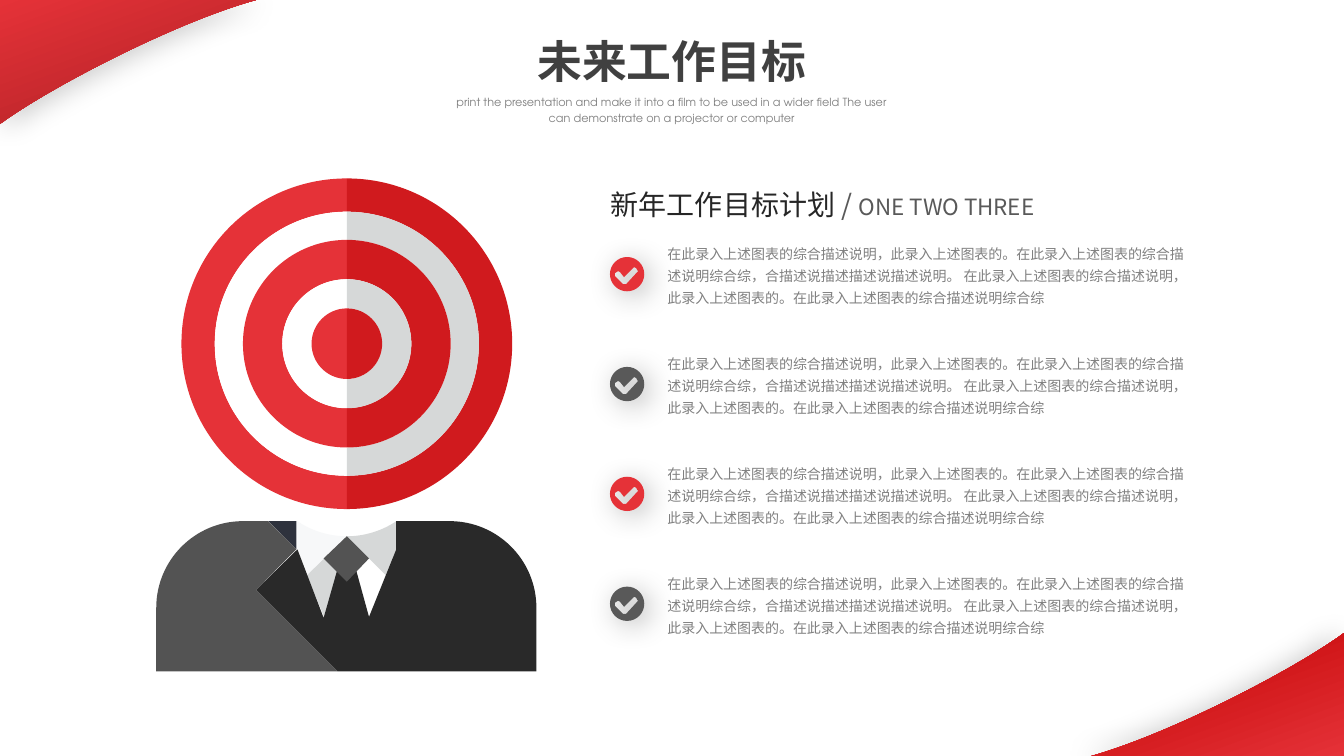
from dataclasses import dataclass
from math import ceil, cos, radians, sin, tan

from lxml.etree import SubElement
from pptx import Presentation
from pptx.dml.color import RGBColor
from pptx.enum.text import MSO_AUTO_SIZE as AutoSize, PP_ALIGN as Align
from pptx.oxml.ns import qn
from pptx.util import Inches, Pt

CJK, LATIN = "Noto Sans CJK SC", "TeX Gyre Adventor"
RED, DEEP_RED, WHITE, SILVER = "E53238", "D01A1E", "FFFFFF", "D6D8D8"
GREY, CHARCOAL, BLACK, TEXT_GREY = "535353", "595959", "292929", "808080"


@dataclass
class Point:
    x: float
    y: float
    control: bool = False


@dataclass
class Piece:
    points: list[Point]
    color: str


@dataclass
class Ring:
    outer: float
    inner: float
    left_color: str
    right_color: str


@dataclass
class Words:
    text: str
    size: float
    color: str
    font: str = CJK
    bold: bool = False


def rgb(color: str) -> RGBColor:
    return RGBColor.from_string(color)


def corners(*pairs: tuple[float, float]) -> list[Point]:
    return [Point(x, y) for x, y in pairs]


def arc(center: Point, radius: float, start: float, end: float) -> list[Point]:
    """Cubic curves along an arc; degrees run clockwise from the right."""
    count = ceil(abs(end - start) / 90)
    sweep = radians(end - start) / count
    pull = 4 / 3 * tan(sweep / 4)

    def spot(a: float, reach: float = 0) -> Point:
        return Point(center.x + radius * (cos(a) - reach * sin(a)),
                     center.y + radius * (sin(a) + reach * cos(a)), reach != 0)

    points = [spot(radians(start))]
    for i in range(count):
        a, b = radians(start) + i * sweep, radians(start) + (i + 1) * sweep
        points += [spot(a, pull), spot(b, -pull), spot(b)]
    return points


def add_outline(shapes, contours: list[list[Point]], color: str):
    builder = None
    for contour in contours:
        scaled = [(Inches(p.x), Inches(p.y)) for p in contour]
        if builder is None:
            builder = shapes.build_freeform(*scaled[0])
        else:
            builder.move_to(*scaled[0])
        builder.add_line_segments(scaled[1:], close=True)
    outline = builder.convert_to_shape()
    bend_lines(outline, [p.control for contour in contours for p in contour[1:]])
    outline.fill.solid()
    outline.fill.fore_color.rgb = rgb(color)
    outline.line.fill.background()
    outline.shadow.inherit = False
    return outline


def bend_lines(outline, controls: list[bool]) -> None:
    """Turn two control points and the end point after them into one curve."""
    lines = list(outline._element.iter(qn("a:lnTo")))
    index = 0
    while index < len(controls):
        if not controls[index]:
            index += 1
            continue
        curve = lines[index].makeelement(qn("a:cubicBezTo"))
        lines[index].addprevious(curve)
        for line in lines[index:index + 3]:
            curve.append(line[0])
            line.getparent().remove(line)
        index += 3


def add_shadow(shape, opacity: int, direction: int) -> None:
    effects = shape._element.spPr.find(qn("a:effectLst"))
    shadow = SubElement(effects, qn("a:outerShdw"), blurRad=str(Pt(20)), dist=str(Pt(5)),
                        dir=str(direction * 60000), algn="ctr", rotWithShape="0")
    black = SubElement(shadow, qn("a:srgbClr"), val="000000")
    SubElement(black, qn("a:alpha"), val=str(opacity * 1000))


def add_words(shapes, box: tuple[float, float, float, float], parts: list[Words],
              spacing: float = 1.0, align: Align = Align.LEFT,
              inset: bool = True, wrap: bool = True) -> None:
    frame = shapes.add_textbox(*map(Inches, box)).text_frame
    frame.word_wrap = wrap
    frame.auto_size = AutoSize.SHAPE_TO_FIT_TEXT
    if not inset:
        frame.margin_left = frame.margin_right = frame.margin_top = frame.margin_bottom = 0
    paragraph = frame.paragraphs[0]
    paragraph.alignment = align
    paragraph.line_spacing = spacing
    for part in parts:
        run = paragraph.add_run()
        run.text = part.text
        run.font.size = Pt(part.size)
        run.font.bold = part.bold
        run.font.color.rgb = rgb(part.color)
        run.font.name = part.font
        SubElement(run._r.get_or_add_rPr(), qn("a:ea"), typeface=CJK)


def add_corner(shapes, left: float, top: float, dark: str, turn: int, direction: int) -> None:
    edge = [Point(2.54, 0), Point(1.74, 0.22, True), Point(0.49, 0.87, True), Point(0, 1.23)]
    corner = add_outline(shapes, [[Point(0, 0), *edge]], RED)
    corner.left, corner.top, corner.rotation = Inches(left), Inches(top), turn
    corner.fill.gradient()
    corner.fill.gradient_angle = 290
    for stop, color, position in zip(corner.fill.gradient_stops, (RED, dark), (0, 1)):
        stop.color.rgb = rgb(color)
        stop.position = position
    add_shadow(corner, 20, direction)


def add_ring(shapes, center: Point, ring: Ring) -> None:
    for start, end, color in ((90, 270, ring.left_color), (-90, 90, ring.right_color)):
        half = arc(center, ring.outer, start, end)
        half += arc(center, ring.inner, end, start) if ring.inner else []
        add_outline(shapes, [half], color)


def add_check(shapes, left: float, top: float, color: str) -> None:
    disc = arc(Point(left + 0.17, top + 0.17), 0.17, 0, 360)
    tick = [Point(left + x, top + y) for x, y in TICK]
    add_shadow(add_outline(shapes, [disc, tick], color), 30, 45)


TICK = [(0.27, 0.13), (0.26, 0.11), (0.24, 0.1), (0.23, 0.11), (0.14, 0.2), (0.1, 0.15),
        (0.08, 0.14), (0.05, 0.16), (0.05, 0.19), (0.13, 0.27), (0.16, 0.27), (0.27, 0.15),
        (0.28, 0.14)]

# Businessman: everything meets at the knot of the tie
KNOT, NECK = (3.44, 5.32), Point(3.44, 4.44)
SUIT = [
    Piece(corners((3.83, 5.7), KNOT, (3.66, 6.12)), WHITE),
    Piece(corners((3.04, 5.7), (3.22, 6.13), KNOT), SILVER),
    Piece(corners((2.95, 5.45), (3.04, 5.71)) + arc(NECK, 0.88, 90, 124), "F7F8F9"),
    Piece(corners((3.93, 5.45), (3.83, 5.71)) + arc(NECK, 0.88, 90, 56), SILVER),
    Piece(corners((3.93, 5.17), (3.93, 5.45), (3.66, 6.12), KNOT, (3.21, 6.13), (2.95, 5.45),
                  (2.54, 5.85), (3.35, 6.66), (5.32, 6.66))
          + arc(Point(4.46, 6.03), 0.86, 0, -90), BLACK),
    Piece(corners((2.94, 5.17), (2.66, 5.17), (2.94, 5.45)), "2E323D"),
    Piece(corners((1.55, 6.66), (3.35, 6.66), (2.54, 5.85), (2.94, 5.45), (2.66, 5.17))
          + arc(Point(2.41, 6.03), 0.86, 270, 180), GREY),
    Piece(corners((3.66, 5.54), (3.44, 5.77), (3.21, 5.54), KNOT), GREY),
]
BULLSEYE = Point(3.44, 3.41)
RINGS = [
    Ring(1.64, 1.31, RED, DEEP_RED),
    Ring(1.31, 1.03, WHITE, SILVER),
    Ring(1.03, 0.64, RED, DEEP_RED),
    Ring(0.64, 0.35, WHITE, SILVER),
    Ring(0.35, 0, RED, DEEP_RED),
]
GOAL = ("在此录入上述图表的综合描述说明，此录入上述图表的。在此录入上述图表的综合描述说明综合综，"
        "合描述说描述描述说描述说明。 在此录入上述图表的综合描述说明，此录入上述图表的。"
        "在此录入上述图表的综合描述说明综合综")
SUBTITLE = ("print the presentation and make it into a film to be used in a wider field "
            "The user can demonstrate on a projector or computer")


def main() -> None:
    deck = Presentation()
    deck.slide_width, deck.slide_height = Inches(13.33), Inches(7.5)
    shapes = deck.slides.add_slide(deck.slide_layouts[6]).shapes

    # Corners
    add_corner(shapes, 0, 0, "AC2125", 0, 45)
    add_corner(shapes, 10.79, 6.28, "C00000", 180, 180)

    # Businessman with a target for a head
    figure = shapes.add_group_shape().shapes
    for piece in SUIT:
        add_outline(figure, [piece.points], piece.color)
    for ring in RINGS:
        add_ring(figure, BULLSEYE, ring)

    # Goals
    for row, color in enumerate((RED, CHARCOAL, RED, CHARCOAL)):
        drop = 1.09 * row
        add_words(shapes, (6.62, 2.39 + drop, 5.16, 0.66), [Words(GOAL, 10, TEXT_GREY)],
                  spacing=1.3, inset=False)
        add_check(shapes, 6.05, 2.55 + drop, color)
    add_words(shapes, (5.96, 1.71, 4.49, 0.5),
              [Words("新年工作目标计划 ", 20, "262626"), Words("/ ", 20, CHARCOAL),
               Words("ONE TWO THREE", 16, CHARCOAL)], spacing=1.3, wrap=False)

    # Title
    heading = shapes.add_group_shape().shapes
    add_words(heading, (4.33, 0.29, 4.67, 0.64),
              [Words("未来工作目标", 32, "404040", LATIN, True)], align=Align.CENTER)
    add_words(heading, (4.33, 0.87, 4.67, 0.42), [Words(SUBTITLE, 8, TEXT_GREY, LATIN)],
              spacing=1.2, align=Align.CENTER)

    deck.save("out.pptx")


if __name__ == "__main__":
    main()
